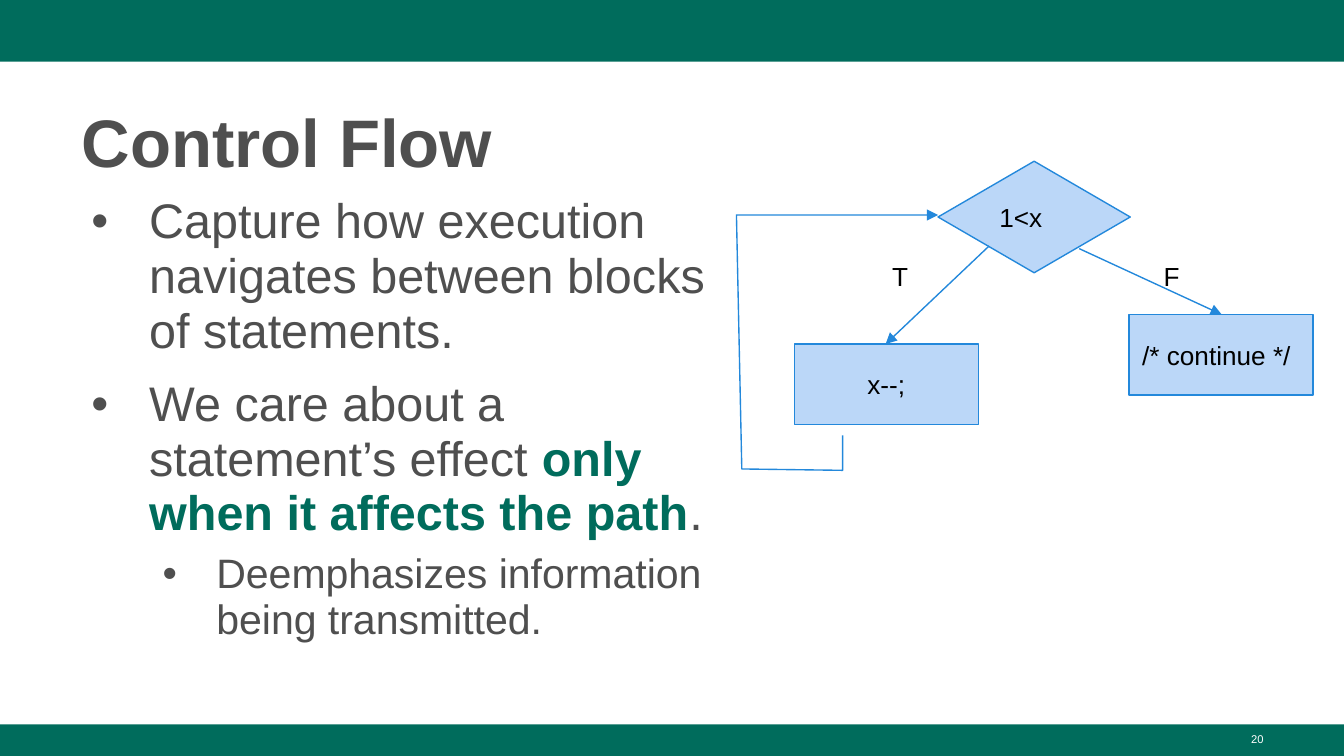
from dataclasses import dataclass

from lxml import etree
from pptx import Presentation
from pptx.dml.color import RGBColor
from pptx.enum.shapes import MSO_CONNECTOR, MSO_SHAPE
from pptx.enum.text import MSO_ANCHOR, MSO_AUTO_SIZE, PP_ALIGN
from pptx.oxml.ns import qn
from pptx.util import Inches, Pt

RECT, DIAMOND = MSO_SHAPE.RECTANGLE, MSO_SHAPE.DIAMOND
STRAIGHT = MSO_CONNECTOR.STRAIGHT
TOP, MIDDLE, BOTTOM = MSO_ANCHOR.TOP, MSO_ANCHOR.MIDDLE, MSO_ANCHOR.BOTTOM
LEFT, CENTER, RIGHT = PP_ALIGN.LEFT, PP_ALIGN.CENTER, PP_ALIGN.RIGHT
COLS, ROWS = 100, 56.25


@dataclass(frozen=True)
class Theme:
    font: str = "Arial"
    green: str = "006C5C"
    gray: str = "4F4F4F"
    black: str = "000000"
    white: str = "FFFFFF"
    fill: str = "BBD7F8"
    edge: str = "2388DB"
    title: int = 36
    body: int = 26
    sub: int = 22
    label: int = 14
    page: int = 6


def grid(*cells):
    return [Inches(cell / 10) for cell in cells]


def rgb(code):
    return RGBColor.from_string(code)


def write(par, text, font, size, color, bold=False):
    run = par.add_run()
    run.text = text
    run.font.name = font
    run.font.size = Pt(size)
    run.font.bold = bold
    run.font.color.rgb = rgb(color)


class Deck:
    def __init__(self, theme):
        self.theme = theme
        self.file = Presentation()
        self.file.slide_width, self.file.slide_height = grid(COLS, ROWS)
        self.slide = self.file.slides.add_slide(self.file.slide_layouts[1])

    def frame(self, shape, anchor, pad):
        frame = shape.text_frame
        frame.word_wrap = True
        frame.auto_size = MSO_AUTO_SIZE.NONE
        frame.vertical_anchor = anchor
        frame.margin_left, frame.margin_right = grid(1, 1)
        frame.margin_top, frame.margin_bottom = grid(pad, pad)
        return frame

    def place(self, shape, area):
        shape.left, shape.top, shape.width, shape.height = grid(*area)

    def title(self, text, area):
        shape = self.slide.shapes.title
        self.place(shape, area)
        par = self.frame(shape, BOTTOM, 0.5).paragraphs[0]
        par.alignment = LEFT
        par.line_spacing = 1.08
        write(par, text, self.theme.font, self.theme.title, self.theme.gray, bold=True)

    def bullet(self, par, left, hang):
        props = par._p.get_or_add_pPr()
        props.set("marL", str(Inches(left)))
        props.set("indent", str(-Inches(hang)))
        color = etree.SubElement(props, qn("a:buClr"))
        etree.SubElement(color, qn("a:srgbClr"), val=self.theme.gray)
        etree.SubElement(props, qn("a:buFont"), typeface=self.theme.font)
        etree.SubElement(props, qn("a:buChar"), char="•")

    def body(self, items, area):
        look = self.theme
        shape = self.slide.placeholders[1]
        self.place(shape, area)
        frame = self.frame(shape, TOP, 0.5)
        styles = ((look.body, 0.5, 0.43, 10), (look.sub, 1, 0.4, 5))
        for num, (level, parts) in enumerate(items):
            par = frame.add_paragraph() if num else frame.paragraphs[0]
            size, left, hang, gap = styles[level]
            par.level = level
            self.bullet(par, left, hang)
            par.line_spacing = 0.94
            par.space_before = Pt(gap if num else 0)
            for text, strong in parts:
                color = look.green if strong else look.gray
                write(par, text, look.font, size, color, bold=strong)

    def bar(self, top, height):
        shape = self.slide.shapes.add_shape(RECT, *grid(0, top, COLS, height))
        shape.shadow.inherit = False
        shape.fill.solid()
        shape.fill.fore_color.rgb = rgb(self.theme.green)
        shape.line.fill.background()

    def stroke(self, shape):
        shape.line.color.rgb = rgb(self.theme.edge)
        shape.line.width = Pt(0.75)

    def node(self, text, area, kind=RECT, align=LEFT):
        shape = self.slide.shapes.add_shape(kind, *grid(*area))
        shape.shadow.inherit = False
        shape.fill.solid()
        shape.fill.fore_color.rgb = rgb(self.theme.fill)
        self.stroke(shape)
        par = self.frame(shape, MIDDLE, 1).paragraphs[0]
        par.alignment = align
        write(par, text, self.theme.font, self.theme.label, self.theme.black)

    def label(self, text, area, size, color, align=LEFT, pad=1):
        shape = self.slide.shapes.add_textbox(*grid(*area))
        par = self.frame(shape, TOP, pad).paragraphs[0]
        par.alignment = align
        write(par, text, self.theme.font, size, color)

    def tip(self, shape):
        self.stroke(shape)
        line = shape._element.spPr.find(qn("a:ln"))
        etree.SubElement(line, qn("a:tailEnd"), type="triangle")

    def arrow(self, start, end):
        shape = self.slide.shapes.add_connector(STRAIGHT, *grid(*start, *end))
        self.tip(shape)
        etree.SubElement(shape._element.spPr, qn("a:effectLst"))

    def loop(self, points):
        first, *rest = [grid(*point) for point in points]
        path = self.slide.shapes.build_freeform(*first)
        path.add_line_segments(rest, close=False)
        shape = path.convert_to_shape()
        shape.shadow.inherit = False
        shape.fill.background()
        self.tip(shape)


def main():
    look = Theme()
    deck = Deck(look)
    deck.bar(0, 4.6)
    deck.bar(53.9, 2.35)
    deck.title("Control Flow", (5.1, 6.7, 89.9, 7.3))
    deck.body(
        [
            (0, [("Capture how execution navigates between blocks of statements.", False)]),
            (0, [
                ("We care about a statement’s effect ", False),
                ("only when it affects the path", True),
                (".", False),
            ]),
            (1, [("Deemphasizes information being transmitted.", False)]),
        ],
        (5.1, 14, 48.7, 38.1),
    )
    deck.node("x--;", (59.1, 25.6, 13.7, 6), align=CENTER)
    deck.node("/* continue */", (84, 23.4, 13.7, 6))
    deck.arrow((80.3, 18.5), (90.9, 23.4))
    deck.node("1<x", (69.8, 12, 14.3, 8.3), kind=DIAMOND)
    deck.arrow((73.6, 18.3), (65.9, 25.6))
    for text, left in (("T", 65.4), ("F", 85.6)):
        deck.label(text, (left, 18.4, 4.4, 2.2), look.label, look.black)
    deck.loop([(62.7, 32.4), (62.7, 35), (55.2, 34.9), (54.8, 16), (69.8, 16)])
    deck.label("20", (71.7, 54, 23.3, 2.25), look.page, look.white, align=RIGHT, pad=0.5)
    deck.file.save("out.pptx")


if __name__ == "__main__":
    main()
